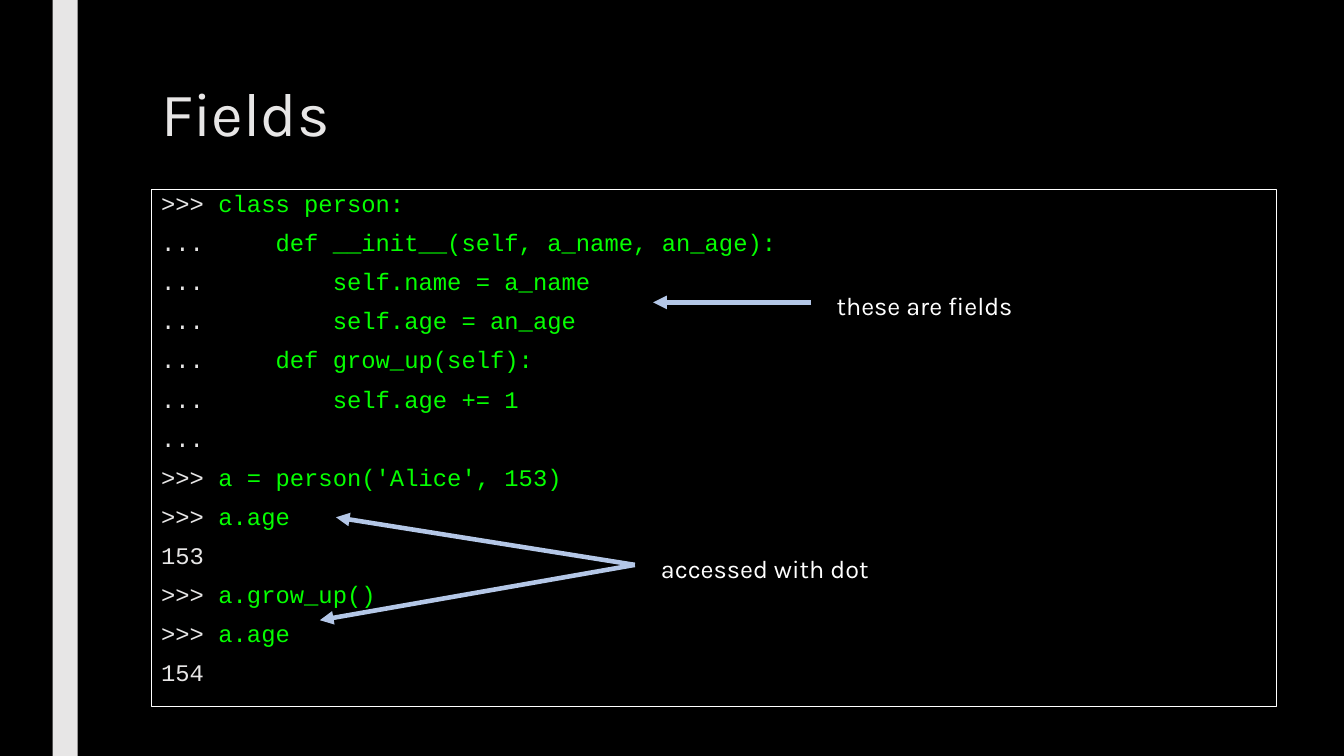
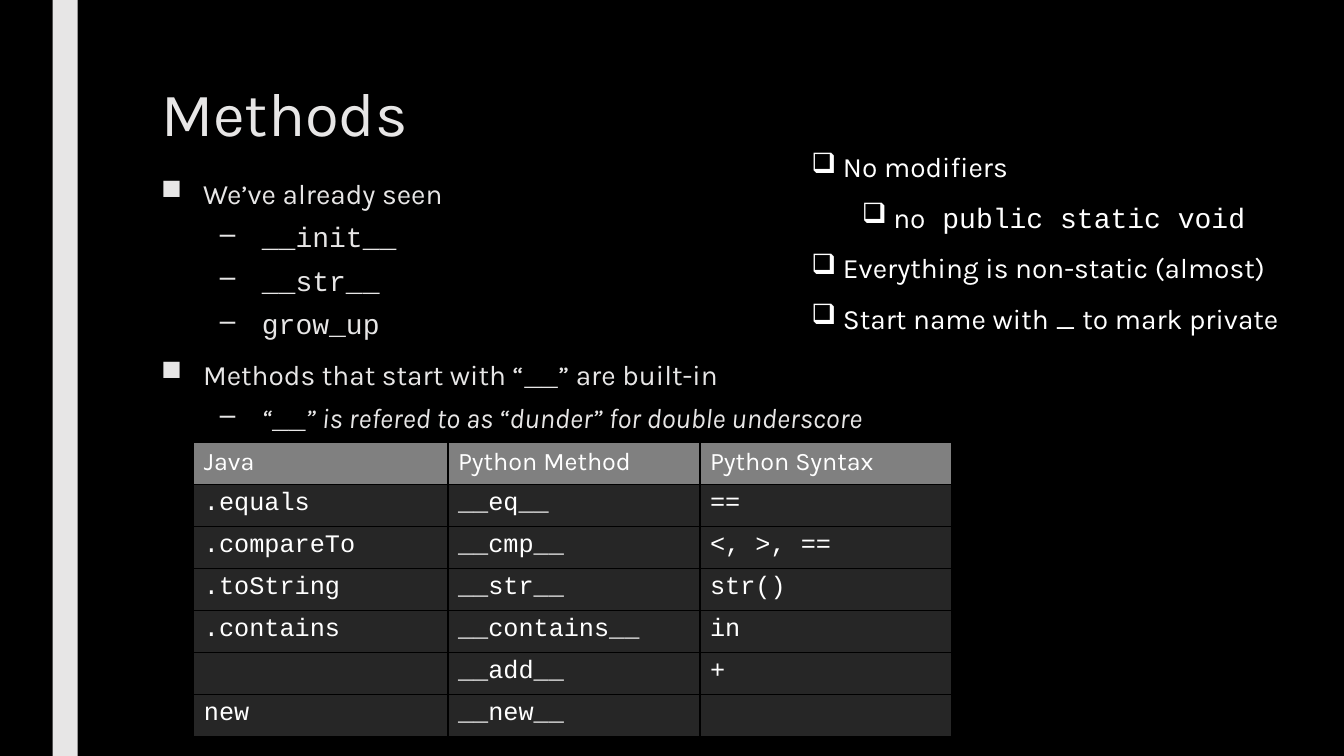
from dataclasses import dataclass
from typing import NamedTuple

from lxml.etree import SubElement
from pptx import Presentation
from pptx.dml.color import RGBColor
from pptx.enum.shapes import MSO_CONNECTOR as Connector, MSO_SHAPE as Shape
from pptx.enum.text import MSO_ANCHOR as Anchor, PP_ALIGN as Align
from pptx.oxml import parse_xml
from pptx.oxml.ns import nsdecls, qn
from pptx.util import Pt

COLORS = {
    "background": "000000",
    "light": "E7E6E6",
    "white": "FFFFFF",
    "code": "05FF00",
    "arrow": "B4C7E7",
    "header": "808080",
    "cell": "262626",
}
SANS, MONO = "Karla", "Courier New"


class Box(NamedTuple):
    left: float
    top: float
    width: float
    height: float


@dataclass(frozen=True)
class Run:
    text: str
    font: str = SANS
    size: float = 20
    color: str = "light"
    italic: bool = False


@dataclass(frozen=True)
class Style:
    spacing: float = 1.0
    before: float = 0
    after: float = 0
    left: float = 0
    hanging: float = 0
    bullet: str = ""


class Line(NamedTuple):
    style: Style
    runs: list[Run]


class Arrow(NamedTuple):
    start: tuple[float, float]
    end: tuple[float, float]


# Shared styles and places
PLAIN = Style()
TITLE = Style(spacing=0.95)
CODE = Style(spacing=0.78, before=10, after=2)
POINT = Style(before=10, after=2, left=30, hanging=30, bullet="■")
SUBPOINT = Style(before=5, after=2, left=72, hanging=30, bullet="–")
CHECK = Style(spacing=1.5, left=22.5, hanging=22.5, bullet="❑")
SUBCHECK = Style(spacing=1.5, left=58.5, hanging=22.5, bullet="❑")
BAND_BOX = Box(37.5, 0, 18, 540)
TITLE_BOX = Box(108, 54, 756, 117)

# Fields slide
SESSION = """\
>>> class person:
...     def __init__(self, a_name, an_age):
...         self.name = a_name
...         self.age = an_age
...     def grow_up(self):
...         self.age += 1
...
>>> a = person('Alice', 153)
>>> a.age
153
>>> a.grow_up()
>>> a.age
154"""
PROMPTS = (">>>", "...")
CODE_BOX = Box(108, 135.5, 803.5, 369)
LABELS = [
    ("these are fields", Box(590.5, 204, 250.5, 29)),
    ("accessed with dot", Box(465, 391.5, 250.5, 29)),
]
ARROWS = [
    Arrow((579.5, 216), (466.5, 216)),
    Arrow((453.5, 403.5), (240, 369.5)),
    Arrow((453.5, 403.5), (228.5, 443)),
]

# Methods slide
POINTS_BOX = Box(108, 122.5, 756, 204)
POINTS = [
    Line(POINT, [Run("We’ve already seen")]),
    *(Line(SUBPOINT, [Run(name, MONO)]) for name in ("__init__", "__str__", "grow_up")),
    Line(POINT, [Run("Methods that start with “"), Run("__", MONO), Run("” are built-in")]),
    Line(SUBPOINT, [
        Run("“", italic=True),
        Run("__", MONO),
        Run("” is refered to as “dunder” for double underscore", italic=True),
    ]),
]
CHECKS_BOX = Box(572.5, 91.5, 372, 148.5)
CHECKS = [
    Line(CHECK, [Run("No modifiers", color="white")]),
    Line(SUBCHECK, [
        Run("no", color="white"),
        Run(" public static void", MONO, color="white"),
    ]),
    Line(CHECK, [Run("Everything is non-static (almost)", color="white")]),
    Line(CHECK, [Run("Start name with _ to mark private", color="white")]),
]
TABLE_LEFT, TABLE_TOP, ROW_HEIGHT = 138.5, 316, 30
COLUMN_WIDTHS = (181.5, 180, 180)
TABLE_ROWS = [
    ("Java", "Python Method", "Python Syntax"),
    (".equals", "__eq__", "=="),
    (".compareTo", "__cmp__", "<, >, =="),
    (".toString", "__str__", "str()"),
    (".contains", "__contains__", "in"),
    ("", "__add__", "+"),
    ("new", "__new__", ""),
]


def rgb(name: str) -> RGBColor:
    return RGBColor.from_string(COLORS[name])


def points(values) -> list:
    return [Pt(value) for value in values]


def add_run(paragraph, text: str, *, font: str = SANS, size: float = 20,
            color: str = "light", italic: bool = False) -> None:
    run = paragraph.add_run()
    run.text = text
    run.font.name = font
    run.font.size = Pt(size)
    run.font.color.rgb = rgb(color)
    run.font.bold = False
    run.font.italic = italic


def apply_style(paragraph, style: Style) -> None:
    paragraph.alignment = Align.LEFT
    paragraph.line_spacing = style.spacing
    paragraph.space_before = Pt(style.before)
    paragraph.space_after = Pt(style.after)
    if style.bullet:
        properties = paragraph._p.get_or_add_pPr()
        properties.set("marL", str(Pt(style.left)))
        properties.set("indent", str(-Pt(style.hanging)))
        SubElement(properties, qn("a:buChar")).set("char", style.bullet)


def fill_text(frame, lines: list[Line]) -> None:
    frame.word_wrap = True
    frame.vertical_anchor = Anchor.TOP
    for index, line in enumerate(lines):
        paragraph = frame.add_paragraph() if index else frame.paragraphs[0]
        apply_style(paragraph, line.style)
        for run in line.runs:
            add_run(paragraph, run.text, font=run.font, size=run.size,
                    color=run.color, italic=run.italic)


def add_text(slide, box: Box, lines: list[Line]) -> None:
    fill_text(slide.shapes.add_textbox(*points(box)).text_frame, lines)


def add_rectangle(slide, box: Box, *, fill: str = "", line: str = ""):
    shape = slide.shapes.add_shape(Shape.RECTANGLE, *points(box))
    shape.shadow.inherit = False
    if fill:
        shape.fill.solid()
        shape.fill.fore_color.rgb = rgb(fill)
    else:
        shape.fill.background()
    if line:
        shape.line.color.rgb = rgb(line)
        shape.line.width = Pt(0.75)
    else:
        shape.line.fill.background()
    return shape


def add_arrow(slide, arrow: Arrow) -> None:
    connector = slide.shapes.add_connector(
        Connector.STRAIGHT, *points(arrow.start + arrow.end))
    connector.line.color.rgb = rgb("arrow")
    connector.line.width = Pt(3.25)
    SubElement(connector.line._get_or_add_ln(), qn("a:tailEnd")).set("type", "triangle")
    SubElement(connector._element.spPr, qn("a:effectLst"))


def add_borders(cell) -> None:
    properties = cell._tc.get_or_add_tcPr()
    for index, side in enumerate(("lnL", "lnR", "lnT", "lnB")):
        properties.insert(index, parse_xml(
            f'<a:{side} {nsdecls("a")} w="{Pt(1)}"><a:solidFill>'
            f'<a:srgbClr val="{COLORS["background"]}"/></a:solidFill></a:{side}>'))


def add_method_table(slide) -> None:
    box = Box(TABLE_LEFT, TABLE_TOP, sum(COLUMN_WIDTHS), ROW_HEIGHT * len(TABLE_ROWS))
    table = slide.shapes.add_table(
        len(TABLE_ROWS), len(COLUMN_WIDTHS), *points(box)).table
    table.first_row = table.horz_banding = False
    for column, width in zip(table.columns, COLUMN_WIDTHS):
        column.width = Pt(width)
    for row_index, texts in enumerate(TABLE_ROWS):
        table.rows[row_index].height = Pt(ROW_HEIGHT)
        font, fill = (MONO, "cell") if row_index else (SANS, "header")
        for column_index, text in enumerate(texts):
            cell = table.cell(row_index, column_index)
            cell.fill.solid()
            cell.fill.fore_color.rgb = rgb(fill)
            add_borders(cell)
            if text:
                add_run(cell.text_frame.paragraphs[0], text,
                        font=font, size=18, color="white")


def code_line(text: str) -> Line:
    """Colour the typed code green, and prompts and results light."""
    split = 4 if text.startswith(PROMPTS) else len(text)
    parts = ((text[:split], "light"), (text[split:], "code"))
    return Line(CODE, [Run(part, MONO, 17, color) for part, color in parts if part])


def add_slide(presentation, title: str):
    slide = presentation.slides.add_slide(presentation.slide_layouts[6])
    add_rectangle(slide, BAND_BOX, fill="light")
    add_text(slide, TITLE_BOX, [Line(TITLE, [Run(title, size=44)])])
    return slide


def build_fields(presentation) -> None:
    slide = add_slide(presentation, "Fields")
    code_box = add_rectangle(slide, CODE_BOX, line="white")
    fill_text(code_box.text_frame, [code_line(text) for text in SESSION.splitlines()])
    for text, box in LABELS:
        add_text(slide, box, [Line(PLAIN, [Run(text, size=18, color="white")])])
    for arrow in ARROWS:
        add_arrow(slide, arrow)


def build_methods(presentation) -> None:
    slide = add_slide(presentation, "Methods")
    add_text(slide, POINTS_BOX, POINTS)
    add_method_table(slide)
    add_text(slide, CHECKS_BOX, CHECKS)


def main() -> None:
    presentation = Presentation()
    presentation.slide_width, presentation.slide_height = Pt(960), Pt(540)
    background = presentation.slide_master.background.fill
    background.solid()
    background.fore_color.rgb = rgb("background")
    build_fields(presentation)
    build_methods(presentation)
    presentation.save("out.pptx")


if __name__ == "__main__":
    main()
